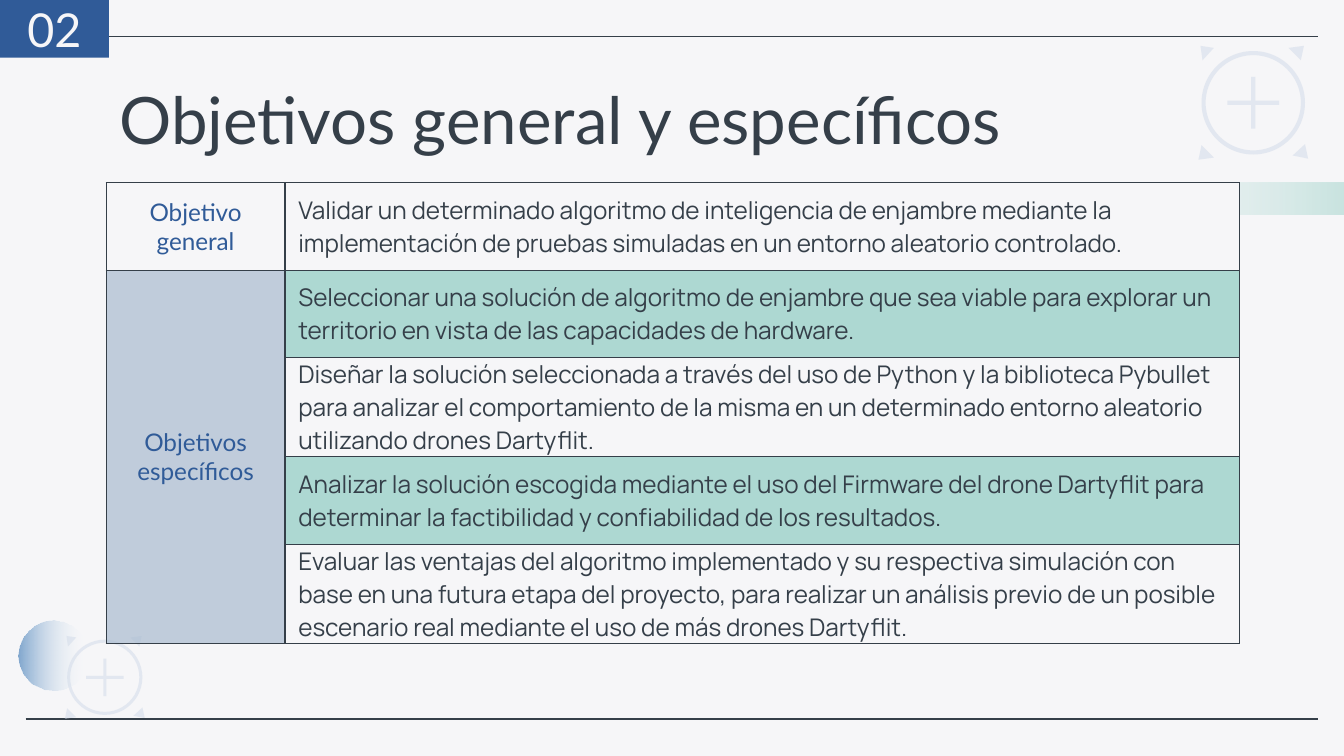
from lxml.etree import SubElement
from pptx import Presentation
from pptx.dml.color import RGBColor
from pptx.enum.shapes import MSO_CONNECTOR, MSO_SHAPE
from pptx.enum.text import MSO_ANCHOR, PP_ALIGN
from pptx.oxml import parse_xml
from pptx.oxml.ns import nsdecls, qn
from pptx.util import Pt

PX = 9144
INK = {"bg": "F6F6F8", "dark": "353F49", "blue": "305B98", "mark": "D6DEEB",
       "orb": "81A7CE", "slate": "ABBCD0", "green": "169B82", "teal": "68BAAC",
       "white": "FFFFFF"}
GOALS = [
    (65, "Validar un determinado algoritmo de inteligencia de enjambre mediante la "
         "implementación de pruebas simuladas en un entorno aleatorio controlado."),
    (65, "Seleccionar una solución de algoritmo de enjambre que sea viable para explorar un "
         "territorio en vista de las capacidades de hardware."),
    (74, "Diseñar la solución seleccionada a través del uso de Python y la biblioteca Pybullet "
         "para analizar el comportamiento de la misma en un determinado entorno aleatorio "
         "utilizando drones Dartyflit."),
    (65, "Analizar la solución escogida mediante el uso del Firmware del drone Dartyflit para "
         "determinar la factibilidad y confiabilidad de los resultados."),
    (74, "Evaluar las ventajas del algoritmo implementado y su respectiva simulación con base en "
         "una futura etapa del proyecto, para realizar un análisis previo de un posible "
         "escenario real mediante el uso de más drones Dartyflit."),
]
CORNERS = [
    [(-0.01, -0.05), (0.01, 0.09), (0.12, -0.03)],
    [(0.99, -0.05), (0.84, -0.03), (0.96, 0.09)],
    [(1, 0.9), (0.88, 1.01), (1.03, 1.04)],
    [(0, 0.91), (-0.03, 1.05), (0.12, 1.03)],
]


def emu(*vals):
    """Turn px lengths into EMU."""
    return [round(v * PX) for v in vals]


def paint(fill, tint, alpha=100):
    """Give a fill one colour and an opacity in percent."""
    fill.solid()
    fill.fore_color.rgb = RGBColor.from_string(INK[tint])
    if alpha < 100:
        node = fill.fore_color._xFill.find(qn("a:srgbClr"))
        SubElement(node, qn("a:alpha")).set("val", str(alpha * 1000))


def fade(shape, stops):
    """Fill a shape with a left-to-right gradient of (place, tint, opacity)."""
    parts = "".join(
        f'<a:gs pos="{pos * 1000}"><a:srgbClr val="{INK[tint]}">'
        f'<a:alpha val="{alpha * 1000}"/></a:srgbClr></a:gs>'
        for pos, tint, alpha in stops)
    grad = parse_xml(f'<a:gradFill {nsdecls("a")} rotWithShape="1"><a:gsLst>{parts}</a:gsLst>'
                     '<a:lin ang="0" scaled="0"/></a:gradFill>')
    shape._element.spPr.find(qn("a:prstGeom")).addnext(grad)


def write(frame, text, size=13, font="Manrope", tint="dark", align=PP_ALIGN.LEFT):
    """Write text into a frame, one paragraph for each line."""
    frame.word_wrap = True
    for i, line in enumerate(text.split("\n")):
        para = frame.paragraphs[0] if i == 0 else frame.add_paragraph()
        para.alignment = align
        run = para.add_run()
        run.text = line
        run.font.size, run.font.name = Pt(size), font
        run.font.color.rgb = RGBColor.from_string(INK[tint])


def inset(item, side, end):
    """Set the inner margins of a frame or cell."""
    item.margin_left, item.margin_right = emu(side, side)
    item.margin_top, item.margin_bottom = emu(end, end)


def place(slide, kind, box, adj=None):
    """Add a preset shape with no line and no shadow."""
    shape = slide.shapes.add_shape(kind, *emu(*box))
    shape.shadow.inherit = False
    shape.line.fill.background()
    if adj is not None:
        shape.adjustments[0] = adj
    return shape


def rule(slide, left, top, width):
    """Draw a thin level line."""
    line = slide.shapes.add_connector(
        MSO_CONNECTOR.STRAIGHT, *emu(left, top, left + width, top))
    line.line.width = Pt(0.75)
    line.line.color.rgb = RGBColor.from_string(INK["dark"])
    SubElement(line._element.spPr, qn("a:effectLst"))


def target(slide, left, top, size):
    """Draw a ring with a cross inside and four corner marks."""
    gap = 0.16 * size
    span = size - 2 * gap
    cross = place(slide, MSO_SHAPE.MATH_PLUS, (left + gap, top + gap, span, span), 0.058)
    ring = place(slide, MSO_SHAPE.DONUT, (left, top, size, size), 0.04)
    marks = [cross, ring]
    for corner in CORNERS:
        first, *rest = [emu(left + x * size, top + y * size) for x, y in corner]
        build = slide.shapes.build_freeform(*first)
        build.add_line_segments(rest, close=True)
        mark = build.convert_to_shape()
        mark.shadow.inherit = False
        mark.line.fill.background()
        marks.append(mark)
    for mark in marks:
        paint(mark.fill, "mark", 61)


def frame_cell(cell):
    """Draw the four borders of a cell."""
    for i, side in enumerate(("lnL", "lnR", "lnT", "lnB")):
        edge = parse_xml(f'<a:{side} {nsdecls("a")} w="9525"><a:solidFill>'
                         f'<a:srgbClr val="{INK["dark"]}"/></a:solidFill></a:{side}>')
        cell._tc.get_or_add_tcPr().insert(i, edge)


def goals(slide, left, top, width):
    """Build the table of general and specific goals."""
    height = sum(tall for tall, _ in GOALS)
    table = slide.shapes.add_table(len(GOALS), 2, *emu(left, top, width, height)).table
    table.first_row = table.horz_banding = False
    table.columns[0].width, table.columns[1].width = emu(133, width - 133)
    heads = {0: "Objetivo\ngeneral", 1: "Objetivos\nespecíficos"}
    for i, (tall, text) in enumerate(GOALS):
        table.rows[i].height = emu(tall)[0]
        head, body = table.cell(i, 0), table.cell(i, 1)
        paint(head.fill, *(("slate", 71) if i else ("bg",)))
        paint(body.fill, *(("green", 32) if i % 2 else ("bg",)))
        for cell in (head, body):
            cell.vertical_anchor = MSO_ANCHOR.MIDDLE
            inset(cell, 10, 0)
            frame_cell(cell)
        if i in heads:
            write(head.text_frame, heads[i], font="Lato", tint="blue", align=PP_ALIGN.CENTER)
        write(body.text_frame, text)
    table.cell(1, 0).merge(table.cell(len(GOALS) - 1, 0))


def title(slide, *box):
    """Write the heading of the slide."""
    frame = slide.shapes.add_textbox(*emu(*box)).text_frame
    inset(frame, 10, 10)
    write(frame, "Objetivos general y específicos", size=35, font="Lato")


def badge(slide, *box):
    """Draw the section number in its block."""
    block = place(slide, MSO_SHAPE.RECTANGLE, box)
    paint(block.fill, "blue")
    frame = block.text_frame
    inset(frame, 10, 10)
    frame.vertical_anchor = MSO_ANCHOR.MIDDLE
    write(frame, "02", size=25, font="Lato", tint="bg", align=PP_ALIGN.CENTER)


def main():
    """Build the slide and save it."""
    deck = Presentation()
    deck.slide_width, deck.slide_height = emu(1000, 562.5)
    slide = deck.slides.add_slide(deck.slide_layouts[6])
    paint(slide.background.fill, "bg")
    for top in (27, 535):
        rule(slide, 19, top, 962)
    orb = place(slide, MSO_SHAPE.OVAL, (14, 462, 52, 52))
    fade(orb, [(0, "orb", 100), (100, "white", 0)])
    target(slide, 50, 476, 56)
    band = place(slide, MSO_SHAPE.PARALLELOGRAM, (694, 136, 389, 24), 0.25)
    band.rotation = 180
    fade(band, [(0, "teal", 59), (83, "white", 0), (100, "white", 0)])
    title(slide, 79, 49, 843, 63)
    goals(slide, 79, 136, 843)
    target(slide, 894, 38, 77)
    badge(slide, 0, 0, 81, 43)
    deck.save("out.pptx")


if __name__ == "__main__":
    main()
